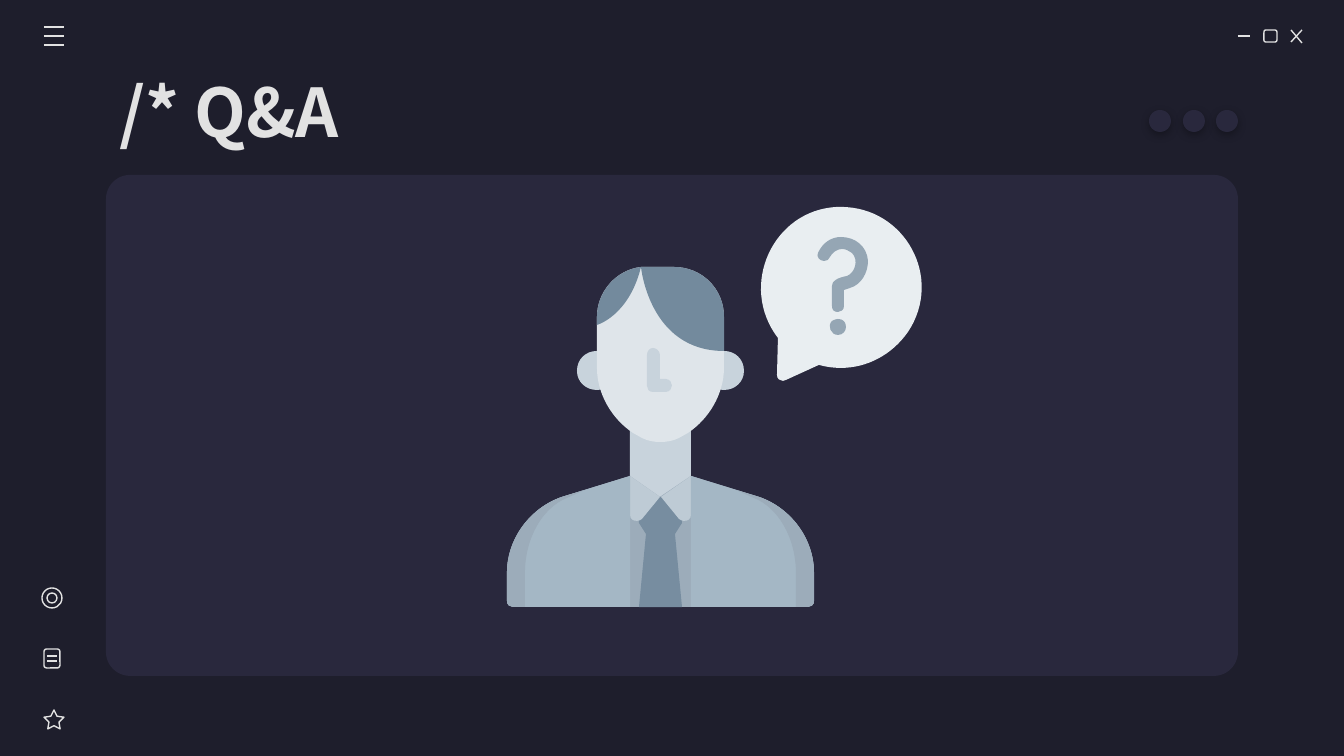
from dataclasses import dataclass

from lxml import etree
from pptx import Presentation
from pptx.dml.color import RGBColor
from pptx.enum.shapes import MSO_CONNECTOR, MSO_SHAPE
from pptx.enum.text import MSO_ANCHOR
from pptx.oxml.ns import qn
from pptx.util import Emu, Pt

STRAIGHT = MSO_CONNECTOR.STRAIGHT
OVAL = MSO_SHAPE.OVAL
ROUNDED = MSO_SHAPE.ROUNDED_RECTANGLE
STAR = MSO_SHAPE.STAR_5_POINT
MIDDLE = MSO_ANCHOR.MIDDLE

SCALE = 914400 / 134.4
MIRROR_SUM = 1321


@dataclass(frozen=True)
class Theme:
    background: str = "1E1E2C"
    panel: str = "29283D"
    light: str = "E2E2E2"
    skin: str = "DFE5EA"
    skin_shade: str = "C8D3DC"
    hair: str = "738A9D"
    jacket: str = "A4B7C5"
    jacket_shade: str = "9CACBA"
    collar: str = "BECBD5"
    tie: str = "778DA0"
    bubble: str = "E9EEF1"
    question: str = "95A6B4"
    font: str = "Noto Sans CJK KR"
    title_size: int = 36
    line_width: float = 0.75


THEME = Theme()

ARM = "L 562 497 C 530 508 507 539 507 573 L 507 601 C 507 605 510 607 513 607"
EAR = (
    "M 597 351 C 586 351 577 359 577 371 C 577 382 586 390 597 390 "
    "C 608 390 617 382 617 371 C 617 359 608 351 597 351"
)
NECK = "M 630 409 L 630 490 L 660 517 L 691 490 L 691 409"
BODY = (
    f"M 630 476 {ARM} L 808 607 C 811 607 814 605 814 601 L 814 573 "
    "C 814 539 791 508 759 497 L 691 476 L 660 497"
)
JACKET = f"M 630 476 {ARM} L 630 607"
SLEEVE = f"M 585 490 {ARM} L 525 607 L 525 573 C 525 539 542 508 567 498"
COLLAR = "M 630 476 L 630 515 C 630 519 633 521 637 521 C 639 521 641 520 642 519 L 660 497"
TIE = "M 639 497 L 639 523 L 646 534 L 639 607 L 682 607 L 675 534 L 682 523 L 682 497"
HEAD = (
    "M 646 267 C 644 267 642 267 641 267 C 616 270 597 292 597 317 L 597 368 "
    "C 597 394 612 419 633 433 L 642 438 C 648 441 654 442 660 442 "
    "C 667 442 673 441 679 438 L 688 433 C 709 419 724 394 724 368 L 724 317 "
    "C 724 289 702 267 674 267"
)
HAIR_LEFT = "M 641 267 C 616 270 597 292 597 317 L 597 325 C 597 325 629 316 641 267"
HAIR_RIGHT = (
    "M 646 267 C 644 267 642 267 641 267 C 641 267 649 351 724 351 L 724 317 "
    "C 724 289 702 267 674 267"
)
NOSE = (
    "M 653 348 C 650 348 647 351 647 355 L 647 386 C 647 389 649 392 653 392 "
    "L 666 392 C 674 391 674 380 666 379 L 660 379 L 660 355 C 660 351 656 348 653 348"
)
BUBBLE = (
    "M 841 207 C 840 207 839 207 837 207 C 773 210 738 286 778 338 L 777 375 "
    "C 777 379 780 381 783 381 C 784 381 785 381 786 380 L 819 365 "
    "C 826 367 833 368 841 368 C 867 368 892 355 908 332 C 944 278 905 207 841 207"
)
QUESTION = (
    "M 841 237 C 832 237 823 242 818 253 C 816 257 820 261 824 261 "
    "C 827 261 829 260 830 257 C 832 253 837 249 842 249 C 846 249 849 251 852 253 "
    "C 859 260 855 273 847 276 C 837 278 832 281 832 286 L 832 306 "
    "C 832 310 834 312 838 312 C 841 312 844 310 844 306 L 844 290 "
    "C 846 289 848 289 850 288 C 861 285 868 273 868 261 C 867 246 855 237 841 237"
)
QUESTION_DOT = (
    "M 838 319 C 836 319 834 320 832 321 C 827 326 831 335 838 335 "
    "C 843 335 846 331 846 327 C 846 322 843 319 838 319"
)


def px(length):
    return Emu(round(length * SCALE))


def color(value):
    return RGBColor.from_string(value)


def fill_shape(shape, fill):
    shape.shadow.inherit = False
    shape.fill.solid()
    shape.fill.fore_color.rgb = color(fill)
    shape.line.fill.background()


def outline_shape(shape):
    shape.shadow.inherit = False
    shape.fill.background()
    shape.line.color.rgb = color(THEME.light)
    shape.line.width = Pt(THEME.line_width)


def add_shape(shapes, kind, box, fill=None, adjustment=None):
    shape = shapes.add_shape(kind, *map(px, box))
    if adjustment is not None:
        shape.adjustments[0] = adjustment
    if fill:
        fill_shape(shape, fill)
    else:
        outline_shape(shape)
    return shape


def add_line(shapes, *ends):
    line = shapes.add_connector(STRAIGHT, *map(px, ends))
    line.line.color.rgb = color(THEME.light)
    line.line.width = Pt(THEME.line_width)
    etree.SubElement(line._element.spPr, qn("a:effectLst"))


def bend_segments(shape, commands):
    steps = iter(list(shape._element.iter(qn("a:lnTo"))))
    for command in commands:
        step = next(steps)
        if command == "C":
            step.tag = qn("a:cubicBezTo")
            for _ in range(2):
                control = next(steps)
                step.append(control[0])
                control.getparent().remove(control)


def add_outline(shapes, outline, fill, mirrored=False):
    tokens = outline.split()
    commands = [token for token in tokens if token in ("L", "C")]
    numbers = [int(token) for token in tokens if token.isdigit()]
    points = [
        (px(MIRROR_SUM - x if mirrored else x), px(y))
        for x, y in zip(numbers[::2], numbers[1::2])
    ]
    builder = shapes.build_freeform(*points[0], scale=1.0)
    builder.add_line_segments(points[1:], close=True)
    shape = builder.convert_to_shape()
    bend_segments(shape, commands)
    fill_shape(shape, fill)


def add_pair(shapes, outline, fill):
    for mirrored in (False, True):
        add_outline(shapes, outline, fill, mirrored)


def add_drop_shadow(shape):
    effects = shape._element.spPr.find(qn("a:effectLst"))
    shadow = etree.SubElement(
        effects, qn("a:outerShdw"), blurRad=str(Pt(4.5)), dist=str(Pt(1.5)),
        dir="5400000", algn="ctr", rotWithShape="0",
    )
    black = etree.SubElement(shadow, qn("a:srgbClr"), val="000000")
    etree.SubElement(black, qn("a:alpha"), val="30000")


def add_title(shapes, text, box):
    frame = shapes.add_textbox(*map(px, box)).text_frame
    frame.word_wrap = True
    frame.vertical_anchor = MIDDLE
    frame.margin_left = frame.margin_right = frame.margin_top = frame.margin_bottom = px(13)
    paragraph = frame.paragraphs[0]
    paragraph.text = text
    paragraph.font.name = THEME.font
    paragraph.font.size = Pt(THEME.title_size)
    paragraph.font.bold = True
    paragraph.font.color.rgb = color(THEME.light)


def add_window_buttons(shapes):
    add_line(shapes, 1238, 36, 1250, 36)
    add_shape(shapes, ROUNDED, (1264, 30, 13, 12))
    add_line(shapes, 1291, 30, 1302, 43)
    add_line(shapes, 1302, 30, 1291, 42)


def add_side_icons(shapes):
    add_shape(shapes, STAR, (44, 710, 20, 19), adjustment=0.25)
    add_shape(shapes, ROUNDED, (44, 649, 16, 19))
    for y in (656, 661):
        add_line(shapes, 47, y, 57, y)
    add_shape(shapes, OVAL, (42, 588, 20, 20))
    add_shape(shapes, OVAL, (47, 593, 10, 10))


def add_illustration(shapes):
    add_pair(shapes, EAR, THEME.skin_shade)
    for outline, fill in (
        (BUBBLE, THEME.bubble),
        (NECK, THEME.skin_shade),
        (BODY, THEME.jacket_shade),
        (HEAD, THEME.skin),
        (HAIR_LEFT, THEME.hair),
        (HAIR_RIGHT, THEME.hair),
        (NOSE, THEME.skin_shade),
        (TIE, THEME.tie),
    ):
        add_outline(shapes, outline, fill)
    add_pair(shapes, COLLAR, THEME.collar)
    add_pair(shapes, JACKET, THEME.jacket)
    add_pair(shapes, SLEEVE, THEME.jacket_shade)
    add_outline(shapes, QUESTION, THEME.question)
    add_outline(shapes, QUESTION_DOT, THEME.question)


def main():
    presentation = Presentation()
    presentation.slide_width, presentation.slide_height = px(1344), px(756)
    slide = presentation.slides.add_slide(presentation.slide_layouts[6])
    slide.background.fill.solid()
    slide.background.fill.fore_color.rgb = color(THEME.background)
    shapes = slide.shapes
    add_shape(shapes, ROUNDED, (106, 175, 1132, 501), THEME.panel, 24 / 501)
    add_window_buttons(shapes.add_group_shape().shapes)
    menu = shapes.add_group_shape().shapes
    for y in (27, 45, 36):
        add_line(menu, 44, y, 64, y)
    add_side_icons(shapes.add_group_shape().shapes)
    add_title(shapes, "/* Q&A", (106, 68, 1132, 85))
    dots = shapes.add_group_shape().shapes
    for x in (1216, 1183, 1149):
        add_drop_shadow(add_shape(dots, OVAL, (x, 110, 22, 22), THEME.panel))
    add_illustration(shapes.add_group_shape().shapes)
    presentation.save("out.pptx")


if __name__ == "__main__":
    main()
